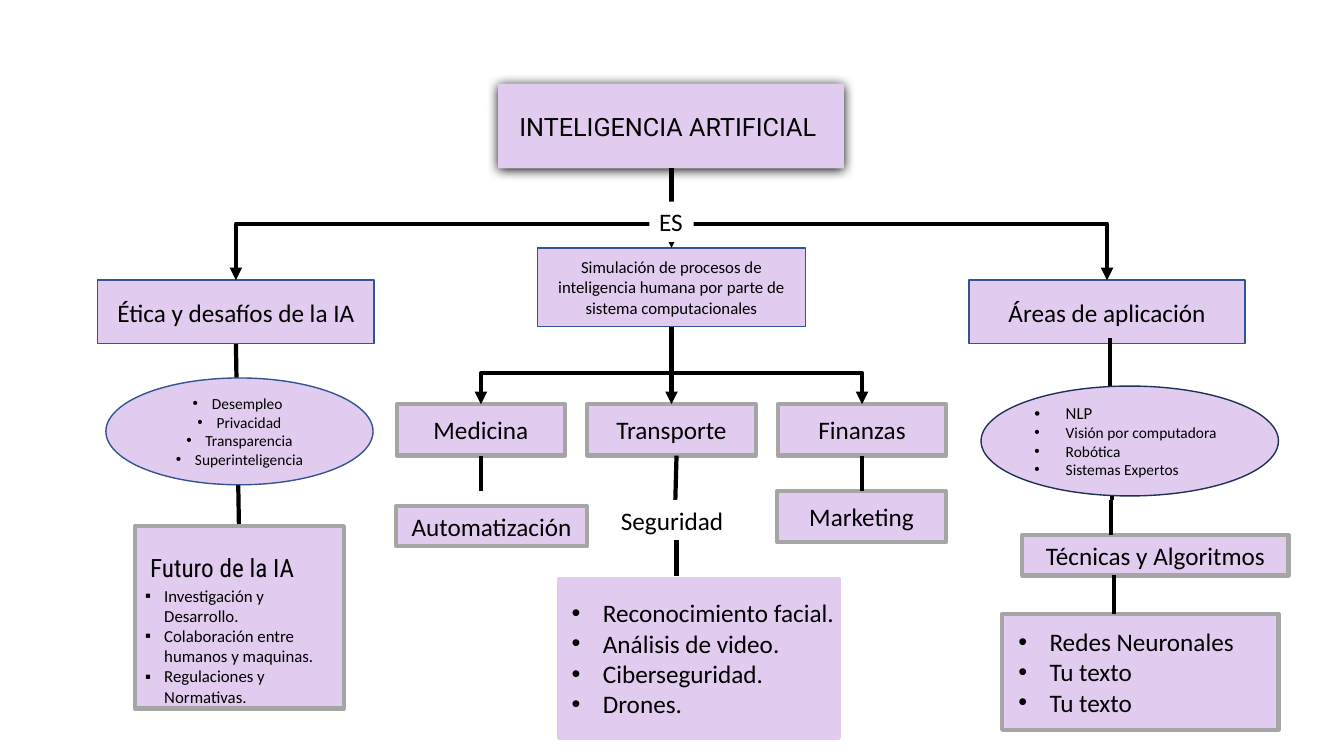
import pptx
import pptx.util
import pptx.dml.color
import pptx.enum.shapes
import pptx.enum.text
import pptx.oxml.ns
import pptx.oxml.xmlchemy

Inches = pptx.util.Inches
Pt = pptx.util.Pt
SHAPE = pptx.enum.shapes.MSO_SHAPE
CONNECTOR = pptx.enum.shapes.MSO_CONNECTOR
ALIGN = pptx.enum.text.PP_ALIGN
ANCHOR = pptx.enum.text.MSO_ANCHOR
qn = pptx.oxml.ns.qn
new_element = pptx.oxml.xmlchemy.OxmlElement

COLORS = {"lilac": "E1CCF0", "blue": "325491", "navy": "1E3256",
          "gray": "A5A5A5", "black": "000000", "white": "FFFFFF"}
TRUNK_X, SIDE_STEP, BRANCH_STEP = 6.66, 4.32, 1.89
ETHICS_X, AREAS_X = TRUNK_X - SIDE_STEP, TRUNK_X + SIDE_STEP
BRANCH_Y, BRANCH_W, BRANCH_H = 4.01, 1.67, 0.51

TOPIC = "INTELIGENCIA ARTIFICIAL "
BRANCHES = ["Medicina", "Transporte", "Finanzas"]
SIDES = [(ETHICS_X, "Ética y desafíos de la IA"), (AREAS_X, "Áreas de aplicación")]
DEFINITION = "Simulación de procesos de inteligencia humana por parte de sistema computacionales"
CHALLENGES = ["Desempleo ", "Privacidad", "Transparencia", "Superinteligencia"]
FUTURE = ["Investigación y Desarrollo.", "Colaboración entre humanos y maquinas.",
          "Regulaciones y Normativas."]
SECURITY = ["Reconocimiento facial.", "Análisis de video.", "Ciberseguridad.", "Drones."]
NETWORKS = ["Redes Neuronales", "Tu texto", "Tu texto"]
FIELDS = ["NLP", "Visión por computadora", "Robótica", "Sistemas Expertos"]
SINGLE_BOXES = [
    ("Técnicas y Algoritmos", (10.14, 5.31, 2.64, 0.4)),
    ("Automatización", (3.93, 5.02, 1.89, 0.4)),
    ("Marketing", (7.71, 4.87, BRANCH_W, BRANCH_H)),
]
ARROWS = [(TRUNK_X, 1.67, TRUNK_X, 2.46), (TRUNK_X, 3.24, TRUNK_X, BRANCH_Y)]
ELBOWS = [(2.22, 2.78, SIDE_STEP), (3.7, BRANCH_Y, BRANCH_STEP)]
LINKS = [
    (4.77, 4.52, 4.77, 4.87), (6.71, 4.52, 6.68, 5.63), (8.55, 4.52, 8.55, 4.87),
    (11.03, 4.74, 11.03, 4.96), (11.02, 4.96, 11.02, 5.31),
    (11.01, 3.35, 11.01, 3.83), (11.05, 5.7, 11.05, 6.09),
]

deck = pptx.Presentation()
deck.slide_width, deck.slide_height = Inches(13.33), Inches(7.5)
slide = deck.slides.add_slide(deck.slide_layouts[5])


def rgb(name):
    return pptx.dml.color.RGBColor.from_string(COLORS[name])


def write(shape, lines, size=18, font="Calibri", align=ALIGN.CENTER, anchor=ANCHOR.MIDDLE,
          bullet=None, indent=0.0, first_size=None, wrap=True):
    frame = shape.text_frame
    frame.word_wrap = wrap
    frame.auto_size = pptx.enum.text.MSO_AUTO_SIZE.NONE
    frame.vertical_anchor = anchor
    for index, line in enumerate(lines):
        paragraph = frame.paragraphs[0] if index == 0 else frame.add_paragraph()
        paragraph.alignment = align
        run = paragraph.add_run()
        run.text = line
        run.font.size = Pt(first_size if first_size and index == 0 else size)
        run.font.name = font
        run.font.color.rgb = rgb("black")
        if bullet:
            props = paragraph._p.get_or_add_pPr()
            props.set("marL", str(Inches(indent)))
            props.set("indent", str(-Inches(indent)))
            typeface = new_element("a:buFont")
            typeface.set("typeface", "Arial")
            mark = new_element("a:buChar")
            mark.set("char", bullet)
            props.extend([typeface, mark])


def pad(shape, left, right):
    frame = shape.text_frame
    frame.margin_left, frame.margin_right = Inches(left), Inches(right)
    frame.margin_top = frame.margin_bottom = 0


def box(place, border="gray", width=3, fill="lilac", kind=SHAPE.RECTANGLE):
    shape = slide.shapes.add_shape(kind, *map(Inches, place))
    shape.shadow.inherit = False
    shape.fill.solid()
    shape.fill.fore_color.rgb = rgb(fill)
    if border:
        shape.line.color.rgb = rgb(border)
        shape.line.width = Pt(width)
    else:
        shape.line.fill.background()
    return shape


def connect(ends, arrow=False, elbow=False):
    kind = CONNECTOR.ELBOW if elbow else CONNECTOR.STRAIGHT
    link = slide.shapes.add_connector(kind, *map(Inches, ends))
    link.line.color.rgb = rgb("black")
    link.line.width = Pt(3)
    props = link._element.spPr
    if elbow:
        props.find(qn("a:prstGeom")).set("prst", "bentConnector2")
    if arrow:
        head = new_element("a:tailEnd")
        head.set("type", "triangle")
        props.find(qn("a:ln")).append(head)
    props.append(new_element("a:effectLst"))


def cast_shadow(shape):
    shape.shadow.inherit = False
    effects = shape._element.spPr.find(qn("a:effectLst"))
    shadow = new_element("a:outerShdw")
    for key, value in (("blurRad", Pt(8.5)), ("dist", Pt(1)), ("dir", 90 * 60000)):
        shadow.set(key, str(int(value)))
    tint = new_element("a:srgbClr")
    tint.set("val", COLORS["black"])
    shadow.append(tint)
    effects.append(shadow)


topic = slide.shapes.title
topic.left, topic.top, topic.width, topic.height = map(Inches, (4.94, 0.83, 3.43, 0.84))
topic.fill.solid()
topic.fill.fore_color.rgb = rgb("lilac")
cast_shadow(topic)
write(topic, [TOPIC], font="Roboto")

connect((ETHICS_X, 3.41, 2.37, 5.22))
for center, heading in SIDES:
    write(box((center - 1.37, 2.78, 2.74, 0.63), "blue", 1), [heading])
challenges = box((1.05, 3.75, 2.65, 1.06), "blue", 1, kind=SHAPE.OVAL)
write(challenges, CHALLENGES, 11, bullet="•", indent=0.19)
box((1.34, 5.22, 2.07, 1.81))

for index, branch in enumerate(BRANCHES):
    left = TRUNK_X + (index - 1) * BRANCH_STEP - BRANCH_W / 2
    write(box((left, BRANCH_Y, BRANCH_W, BRANCH_H)), [branch])
for caption, place in SINGLE_BOXES:
    write(box(place), [caption])

networks = box((9.94, 6.09, 2.74, 1.15))
pad(networks, 0.16, 0.1)
write(networks, NETWORKS, align=ALIGN.LEFT, bullet="•", indent=0.31)
security = box((5.55, 5.74, 2.77, 1.58), "lilac")
pad(security, 0.12, 0)
write(security, SECURITY, align=ALIGN.LEFT, bullet="•", indent=0.31)
write(box((5.33, 2.46, 2.66, 0.78), "blue", 1), [DEFINITION], 12)

for ends in ARROWS:
    connect(ends, arrow=True)
for top, bottom, reach in ELBOWS:
    for side in (-1, 1):
        connect((TRUNK_X, top, TRUNK_X + side * reach, bottom), arrow=True, elbow=True)
for ends in LINKS:
    connect(ends)

verb = box((6.44, 2, 0.44, 0.4), None, fill="white")
write(verb, ["ES"], align=ALIGN.LEFT, anchor=ANCHOR.TOP, wrap=False)
safety = box((6.06, 4.96, 1.35, 0.71), None, fill="white")
write(safety, ["Seguridad"], align=ALIGN.LEFT, anchor=ANCHOR.TOP)

future_heading = slide.shapes.add_textbox(*map(Inches, (1.39, 5.43, 1.79, 0.4)))
write(future_heading, ["Futuro de la IA"], font="Roboto Condensed",
      align=ALIGN.LEFT, anchor=ANCHOR.TOP)
future = slide.shapes.add_textbox(*map(Inches, (1.34, 5.76, 2.02, 1.31)))
write(future, FUTURE, 12, align=ALIGN.LEFT, anchor=ANCHOR.TOP, bullet="▪", indent=0.19)

connect((6.71, 5.36, 6.71, 5.71))
fields = box((9.73, 3.83, 2.95, 1.09), "navy", 1, kind=SHAPE.OVAL)
write(fields, FIELDS, 11, align=ALIGN.LEFT, bullet="•", indent=0.31, first_size=12)

deck.save("out.pptx")
